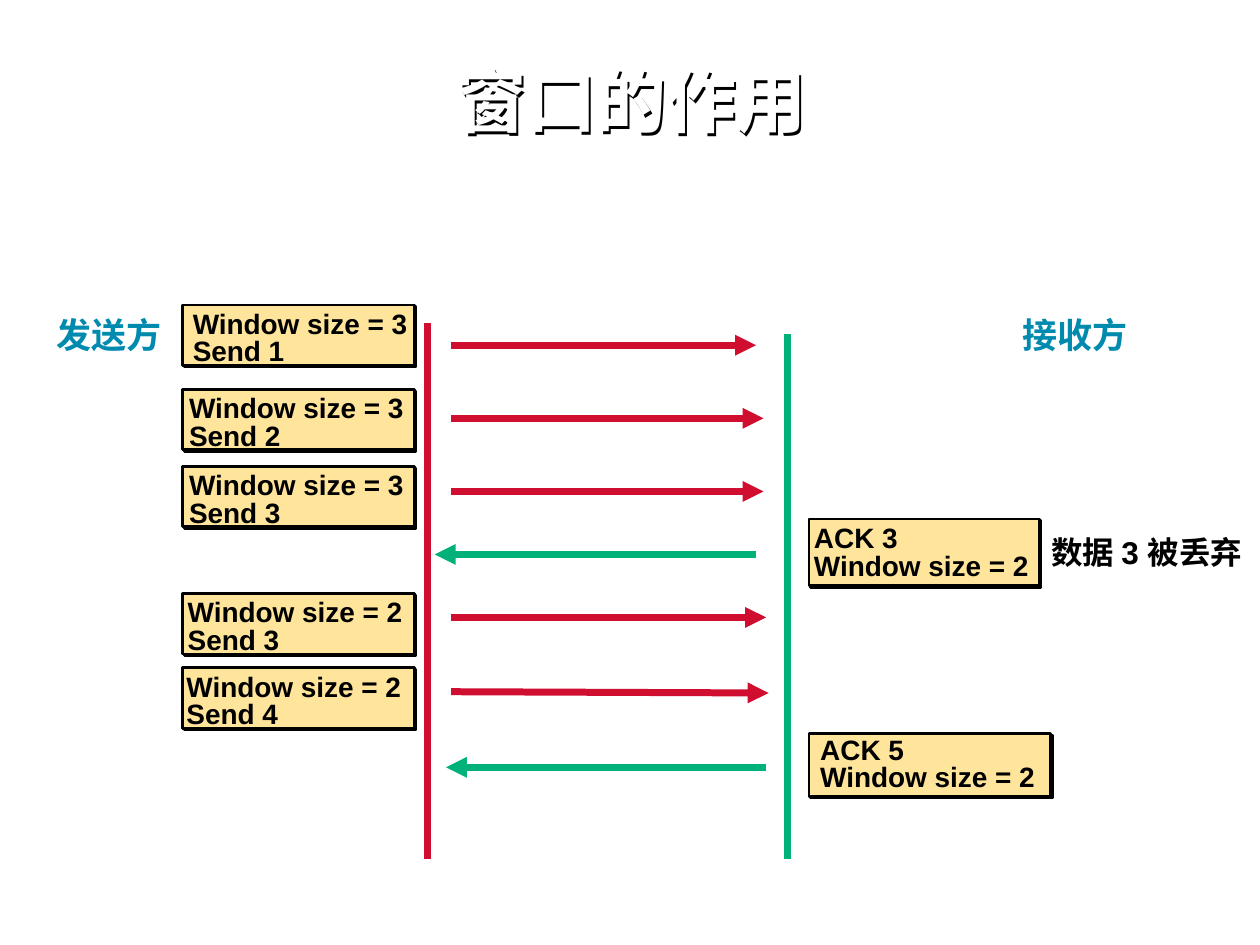
"""Build a slide showing how the window size controls sending and acknowledging."""
from dataclasses import dataclass
from typing import Optional

import lxml.etree
import pptx
import pptx.dml.color
import pptx.enum.shapes
import pptx.enum.text
import pptx.oxml.ns
import pptx.util

Inches = pptx.util.Inches
Pt = pptx.util.Pt
qn = pptx.oxml.ns.qn
PP_ALIGN = pptx.enum.text.PP_ALIGN
ANCHOR = pptx.enum.text.MSO_ANCHOR

RED, GREEN, TEAL = "CF0E30", "00B179", "008AAE"
BLACK, WHITE, CREAM = "000000", "FFFFFF", "FFE59B"


@dataclass
class Message:
    left: float
    top: float
    width: float
    height: float
    lines: tuple
    text_at: tuple
    text_size: tuple
    inset: tuple
    wrap: bool


@dataclass
class Arrow:
    start: tuple
    end: tuple
    color: str
    head: bool = True


@dataclass
class Label:
    at: tuple
    size: tuple
    lines: tuple
    points: float
    color: str
    inset: tuple
    spacing: Optional[object] = None
    align: Optional[object] = PP_ALIGN.CENTER
    anchor: object = ANCHOR.TOP
    wrap: bool = False
    grow: bool = False
    before: float = 0


def rgb(value: str):
    return pptx.dml.color.RGBColor.from_string(value)


def add_shadow(sp, distance: int) -> None:
    sp.shadow.inherit = False
    effects = sp._element.spPr.find(qn("a:effectLst"))
    shadow = lxml.etree.SubElement(effects, qn("a:outerShdw"), blurRad="0",
                                   dist=str(distance), dir="2700000",
                                   algn="ctr", rotWithShape="0")
    lxml.etree.SubElement(shadow, qn("a:srgbClr"), val=BLACK)


def add_label(s, label: Label):
    sp = s.shapes.add_textbox(*map(Inches, label.at + label.size))
    tf = sp.text_frame
    tf.word_wrap = label.wrap
    tf.vertical_anchor = label.anchor
    if label.grow:
        tf.auto_size = pptx.enum.text.MSO_AUTO_SIZE.SHAPE_TO_FIT_TEXT
    tf.margin_left = tf.margin_right = Inches(label.inset[0])
    tf.margin_top = tf.margin_bottom = Inches(label.inset[1])
    for i, line in enumerate(label.lines):
        p = tf.add_paragraph() if i else tf.paragraphs[0]
        p.alignment = label.align
        p.line_spacing = label.spacing
        if i:
            p.space_before = Pt(label.before)
        r = p.add_run()
        r.text = line
        r.font.name = "Arial"
        r.font.size = Pt(label.points)
        r.font.bold = True
        r.font.color.rgb = rgb(label.color)
    return sp


def add_message(s, m: Message) -> None:
    sp = s.shapes.add_shape(pptx.enum.shapes.MSO_SHAPE.RECTANGLE,
                            *map(Inches, (m.left, m.top, m.width, m.height)))
    sp.fill.solid()
    sp.fill.fore_color.rgb = rgb(CREAM)
    sp.line.color.rgb = rgb(BLACK)
    sp.line.width = Pt(1.5)
    add_shadow(sp, Pt(1.4))
    add_label(s, Label(m.text_at, m.text_size, m.lines, 16, BLACK, m.inset,
                       spacing=0.3, align=PP_ALIGN.LEFT, wrap=m.wrap,
                       grow=m.wrap, before=10))


def add_arrow(s, arrow: Arrow) -> None:
    cx = s.shapes.add_connector(pptx.enum.shapes.MSO_CONNECTOR.STRAIGHT,
                                *map(Inches, arrow.start + arrow.end))
    cx.line.color.rgb = rgb(arrow.color)
    cx.line.width = Pt(4)
    if arrow.head:
        lxml.etree.SubElement(cx.line._get_or_add_ln(), qn("a:tailEnd"), type="triangle")
    lxml.etree.SubElement(cx._element.spPr, qn("a:effectLst"))


def send(top: float, text_left: float, window: int, number: int) -> Message:
    return Message(1.45, top, 1.84, 0.48, (f"Window size = {window}", f"Send {number}"),
                   (text_left, top + 0.11), (2.02, 0.41), (0.11, 0.06), True)


def ack(top: float, width: float, height: float, number: int,
        text_at: tuple, text_size: tuple) -> Message:
    return Message(6.42, top, width, height, (f"ACK {number}", "Window size = 2"),
                   text_at, text_size, (0.02, 0.03), False)


TITLE = Label((0.84, 0.21), (8.34, 1.25), ("窗口的作用",), 40, WHITE, (0.09, 0.04),
              spacing=0.9, anchor=ANCHOR.MIDDLE, wrap=True)
SENDER = Label((0.27, 2.46), (1.19, 0.52), ("发送方",), 20, TEAL, (0.02, 0.03), Pt(23.6))
RECEIVER = Label((7.83, 2.46), (1.41, 0.52), ("接收方",), 20, TEAL, (0.02, 0.03), Pt(23.6))
DROPPED = Label((8.18, 4.18), (1.84, 0.4), ("数据 3 被丢弃",), 18, BLACK, (0.1, 0.05),
                anchor=ANCHOR.MIDDLE, grow=True)

MESSAGES = [
    send(2.42, 1.42, 3, 1),
    send(3.09, 1.39, 3, 2),
    send(3.7, 1.39, 3, 3),
    ack(4.12, 1.83, 0.53, 3, (6.44, 4.26), (1.92, 0.58)),
    send(4.71, 1.38, 2, 3),
    send(5.3, 1.37, 2, 4),
    ack(5.82, 1.92, 0.5, 5, (6.49, 5.94), (2, 0.66)),
]

ARROWS = [
    Arrow((6.25, 2.65), (6.25, 6.82), GREEN, head=False),
    Arrow((3.39, 2.56), (3.39, 6.82), RED, head=False),
    Arrow((3.58, 2.74), (6, 2.74), RED),
    Arrow((3.58, 3.32), (6.06, 3.32), RED),
    Arrow((3.58, 3.9), (6.06, 3.9), RED),
    Arrow((6, 4.4), (3.45, 4.4), GREEN),
    Arrow((3.58, 4.9), (6.08, 4.9), RED),
    Arrow((3.58, 5.49), (6.1, 5.5), RED),
    Arrow((6.08, 6.09), (3.54, 6.09), GREEN),
]


def main() -> None:
    prs = pptx.Presentation()
    prs.slide_width, prs.slide_height = Inches(10), Inches(7.5)
    s = prs.slides.add_slide(prs.slide_layouts[6])
    add_shadow(add_label(s, TITLE), Pt(2))
    sender = add_label(s, SENDER)
    sender.fill.solid()
    sender.fill.fore_color.rgb = rgb(WHITE)
    for arrow in ARROWS:
        add_arrow(s, arrow)
    for message in MESSAGES:
        add_message(s, message)
    for label in (DROPPED, RECEIVER):
        add_label(s, label)
    prs.save("out.pptx")


if __name__ == "__main__":
    main()
